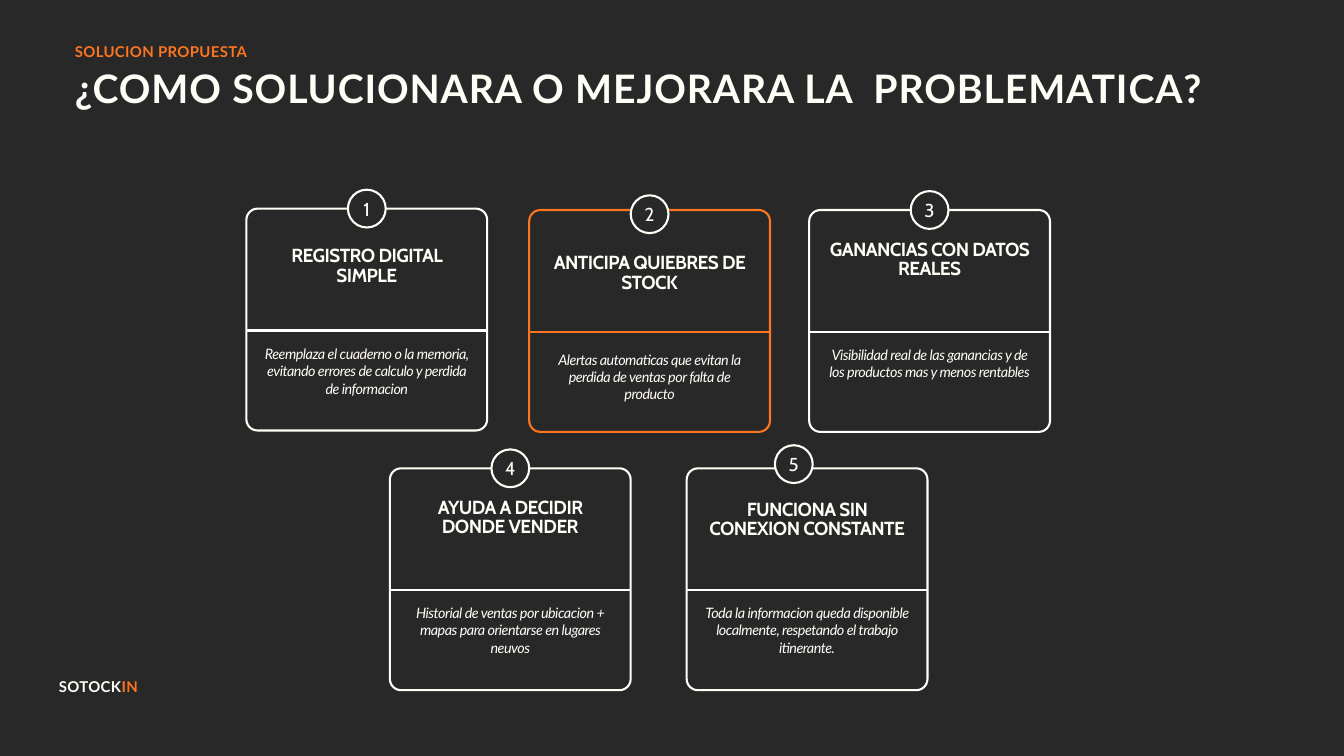
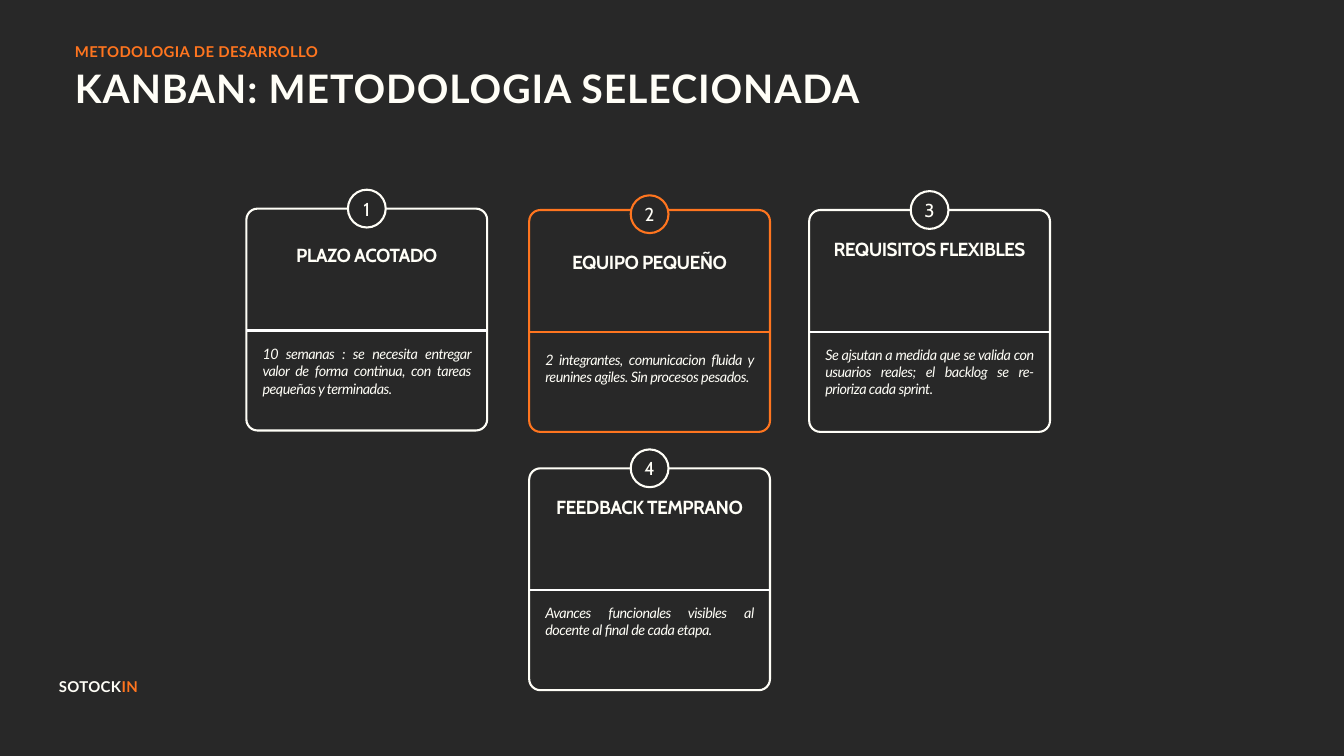
"""Build two dark slides of numbered cards about a proposal and its method."""
from lxml import etree
from pptx import Presentation
from pptx.dml.color import RGBColor
from pptx.enum.shapes import MSO_CONNECTOR, MSO_SHAPE
from pptx.enum.text import MSO_ANCHOR, MSO_AUTO_SIZE, PP_ALIGN
from pptx.oxml.ns import qn
from pptx.util import Emu, Pt

ROUNDED, OVAL = MSO_SHAPE.ROUNDED_RECTANGLE, MSO_SHAPE.OVAL
STRAIGHT = MSO_CONNECTOR.STRAIGHT
LEFT, CENTER, JUSTIFY = PP_ALIGN.LEFT, PP_ALIGN.CENTER, PP_ALIGN.JUSTIFY
TOP, MIDDLE = MSO_ANCHOR.TOP, MSO_ANCHOR.MIDDLE
GROW, FIXED = MSO_AUTO_SIZE.SHAPE_TO_FIT_TEXT, MSO_AUTO_SIZE.NONE

EMU_PER_PX = 9525
SLIDE_WIDTH, SLIDE_HEIGHT = 1920, 1080
TITLE_ONLY = 5

DARK, CREAM, WHITE, ORANGE = "282828", "FFFEF7", "FFFFFF", "FF751F"

CARD_WIDTH, CARD_HEIGHT, CARD_RADIUS = 344, 317, 16
DIVIDER_DROP = 174
HEADING_WIDTH, DETAIL_WIDTH, DETAIL_HEIGHT = 296, 298, 72
BADGE_SIZE = 54

FONTS = {
    "title": {"name": "Lato", "size": Pt(42), "bold": True},
    "label": {"name": "Lato", "size": Pt(16), "bold": True},
    "heading": {"name": "Cabin", "size": Pt(20.3), "bold": True},
    "detail": {"name": "Lato", "size": Pt(15.4), "italic": True},
    "number": {"name": "Cabin", "size": Pt(20)},
}
LINE_SPACING = {"title": 35.3, "label": 13.4, "heading": 20.9, "detail": 18.5, "number": 24}
LETTER_SPACING = {"title": 100, "label": 40, "heading": -60, "detail": -50, "number": -60}

FIRST = {"left": 352, "top": 298, "badge": -27, "heading": 55, "detail": 195}
SECOND = {"left": 756, "top": 300, "badge": -21, "heading": 63, "detail": 201}
THIRD = {"left": 1156, "top": 300, "badge": -27, "heading": 44, "detail": 194}
LOWER = {"top": 669, "badge": -27, "heading": 43, "detail": 194}
LOWER_LEFT = {**LOWER, "left": 557}
LOWER_MIDDLE = {**LOWER, "left": 756}
LOWER_RIGHT = {**LOWER, "left": 981, "badge": -33, "heading": 46, "badge_shift": -19}

PAGES = [
    {
        "label": "SOLUCION PROPUESTA",
        "title": "¿COMO SOLUCIONARA O MEJORARA LA  PROBLEMATICA?",
        "title_height": 102,
        "heading_height": 57,
        "detail_align": CENTER,
        "badge_accent": CREAM,
        "cards": [
            (FIRST, "REGISTRO DIGITAL SIMPLE",
             "Reemplaza el cuaderno o la memoria, evitando errores de calculo y perdida de informacion"),
            (SECOND, "ANTICIPA QUIEBRES DE STOCK",
             "Alertas automaticas que evitan la perdida de ventas por falta de producto"),
            (THIRD, "GANANCIAS CON DATOS REALES",
             "Visibilidad real de las ganancias y de los productos mas y menos rentables"),
            (LOWER_LEFT, "AYUDA A DECIDIR DONDE VENDER",
             "Historial de ventas por ubicacion + mapas para orientarse en lugares neuvos"),
            (LOWER_RIGHT, "FUNCIONA SIN CONEXION CONSTANTE",
             "Toda la informacion queda disponible localmente, respetando el trabajo itinerante."),
        ],
    },
    {
        "label": "METODOLOGIA DE DESARROLLO",
        "title": "KANBAN: METODOLOGIA SELECIONADA",
        "title_height": 55,
        "heading_height": 29,
        "detail_align": JUSTIFY,
        "badge_accent": ORANGE,
        "cards": [
            (FIRST, "PLAZO ACOTADO",
             "10 semanas : se necesita entregar valor de forma continua, con tareas pequeñas y terminadas."),
            (SECOND, "EQUIPO PEQUEÑO",
             "2 integrantes, comunicacion fluida y reunines agiles. Sin procesos pesados."),
            (THIRD, "REQUISITOS FLEXIBLES",
             "Se ajsutan a medida que se valida con usuarios reales; el backlog se re-prioriza cada sprint."),
            (LOWER_MIDDLE, "FEEDBACK TEMPRANO",
             "Avances funcionales visibles al docente al final de cada etapa."),
        ],
    },
]


def px(*lengths):
    return [Emu(length * EMU_PER_PX) for length in lengths]


def color(value):
    return RGBColor.from_string(value)


def set_values(target, values):
    for name, value in values.items():
        setattr(target, name, value)


class CardDeck:
    def __init__(self):
        self.deck = Presentation()
        self.deck.slide_width, self.deck.slide_height = px(SLIDE_WIDTH, SLIDE_HEIGHT)
        self.page = None

    def new_page(self):
        self.page = self.deck.slides.add_slide(self.deck.slide_layouts[TITLE_ONLY])
        fill = self.page.background.fill
        fill.solid()
        fill.fore_color.rgb = color(DARK)

    def fill_text(self, box, style, spans, align, anchor=TOP, fit=GROW):
        frame = box.text_frame
        set_values(frame, {"margin_left": 0, "margin_right": 0, "margin_top": 0, "margin_bottom": 0,
                           "word_wrap": True, "auto_size": fit, "vertical_anchor": anchor})
        para = frame.paragraphs[0]
        set_values(para, {"alignment": align, "line_spacing": Pt(LINE_SPACING[style])})
        for text, ink in spans:
            span = para.add_run()
            span.text = text
            set_values(span.font, FONTS[style])
            span.font.color.rgb = color(ink)
            span._r.get_or_add_rPr().set("spc", str(LETTER_SPACING[style]))

    def title(self, text, height):
        box = self.page.shapes.title
        box.left, box.top, box.width, box.height = px(107, 112, 1750, height)
        self.fill_text(box, "title", [(text, CREAM)], LEFT)

    def text(self, style, spans, area, align):
        box = self.page.shapes.add_textbox(*px(*area))
        self.fill_text(box, style, spans, align)

    def outline(self, kind, area, ink):
        shape = self.page.shapes.add_shape(kind, *px(*area))
        shape.shadow.inherit = False
        shape.fill.background()
        shape.line.color.rgb = color(ink)
        shape.line.width = Pt(2.25)
        return shape

    def divider(self, left, top, ink):
        line = self.page.shapes.add_connector(STRAIGHT, *px(left, top, left + CARD_WIDTH, top))
        line.line.color.rgb = color(ink)
        line.line.width = Pt(2.72)
        etree.SubElement(line._element.spPr, qn("a:effectLst"))

    def badge(self, number, left, top, ink):
        circle = self.outline(OVAL, (left, top, BADGE_SIZE, BADGE_SIZE), ink)
        circle.fill.solid()
        circle.fill.fore_color.rgb = color(DARK)
        self.fill_text(circle, "number", [(str(number), CREAM)], CENTER, MIDDLE, FIXED)

    def card(self, number, slot, heading, detail, content):
        left, top = slot["left"], slot["top"]
        accented = slot is SECOND
        frame = self.outline(ROUNDED, (left, top, CARD_WIDTH, CARD_HEIGHT),
                             ORANGE if accented else CREAM)
        frame.adjustments[0] = CARD_RADIUS / CARD_HEIGHT
        self.divider(left, top + DIVIDER_DROP, ORANGE if accented else WHITE)

        def centered(width):
            return left + (CARD_WIDTH - width) // 2

        self.text("heading", [(heading, CREAM)],
                  (centered(HEADING_WIDTH), top + slot["heading"],
                   HEADING_WIDTH, content["heading_height"]), CENTER)
        self.text("detail", [(detail, CREAM)],
                  (centered(DETAIL_WIDTH), top + slot["detail"],
                   DETAIL_WIDTH, DETAIL_HEIGHT), content["detail_align"])
        self.badge(number, centered(BADGE_SIZE) + slot.get("badge_shift", 0),
                   top + slot["badge"], content["badge_accent"] if accented else CREAM)

    def build_page(self, content):
        self.new_page()
        self.text("label", [(content["label"], ORANGE)], (107, 68, 465, 21), JUSTIFY)
        self.title(content["title"], content["title_height"])
        for number, (slot, heading, detail) in enumerate(content["cards"], 1):
            self.card(number, slot, heading, detail, content)
        self.text("label", [("SOTOCK", CREAM), ("IN", ORANGE)], (84, 976, 341, 21), JUSTIFY)


def main():
    builder = CardDeck()
    for content in PAGES:
        builder.build_page(content)
    builder.deck.save("out.pptx")


if __name__ == "__main__":
    main()
